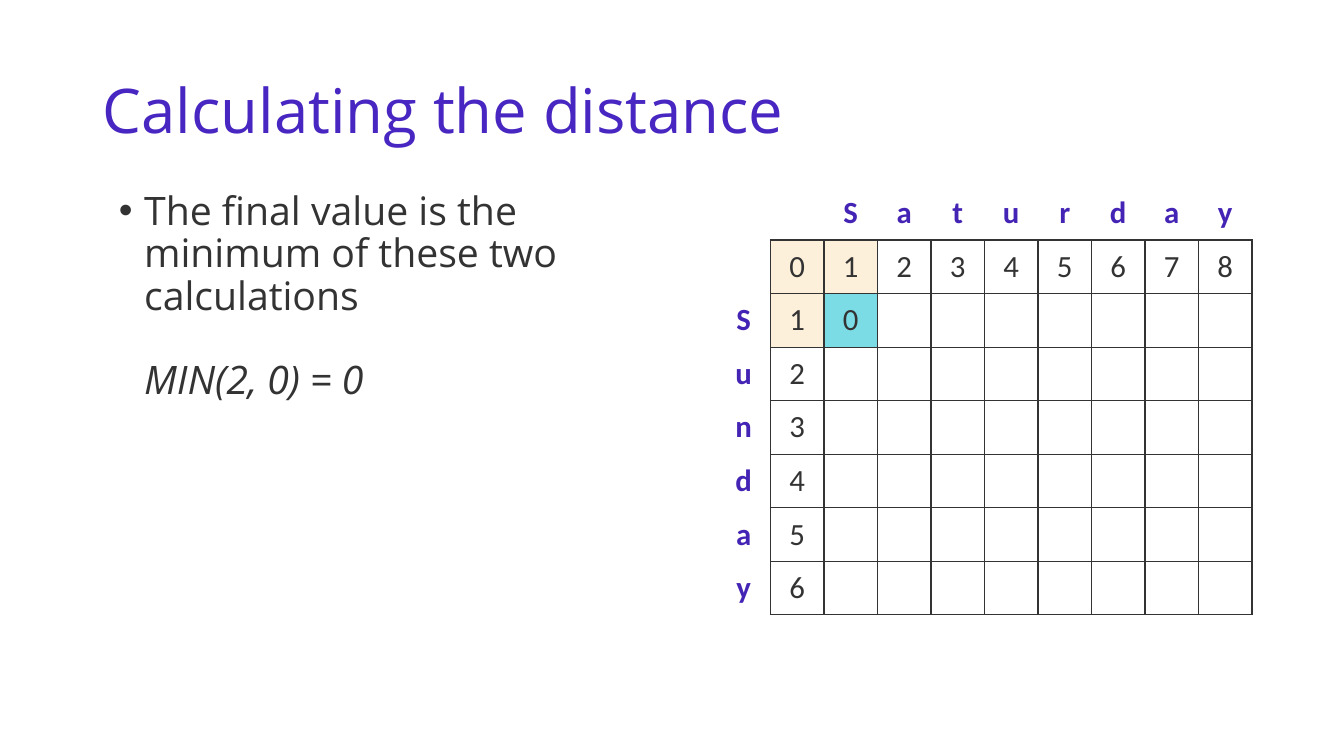
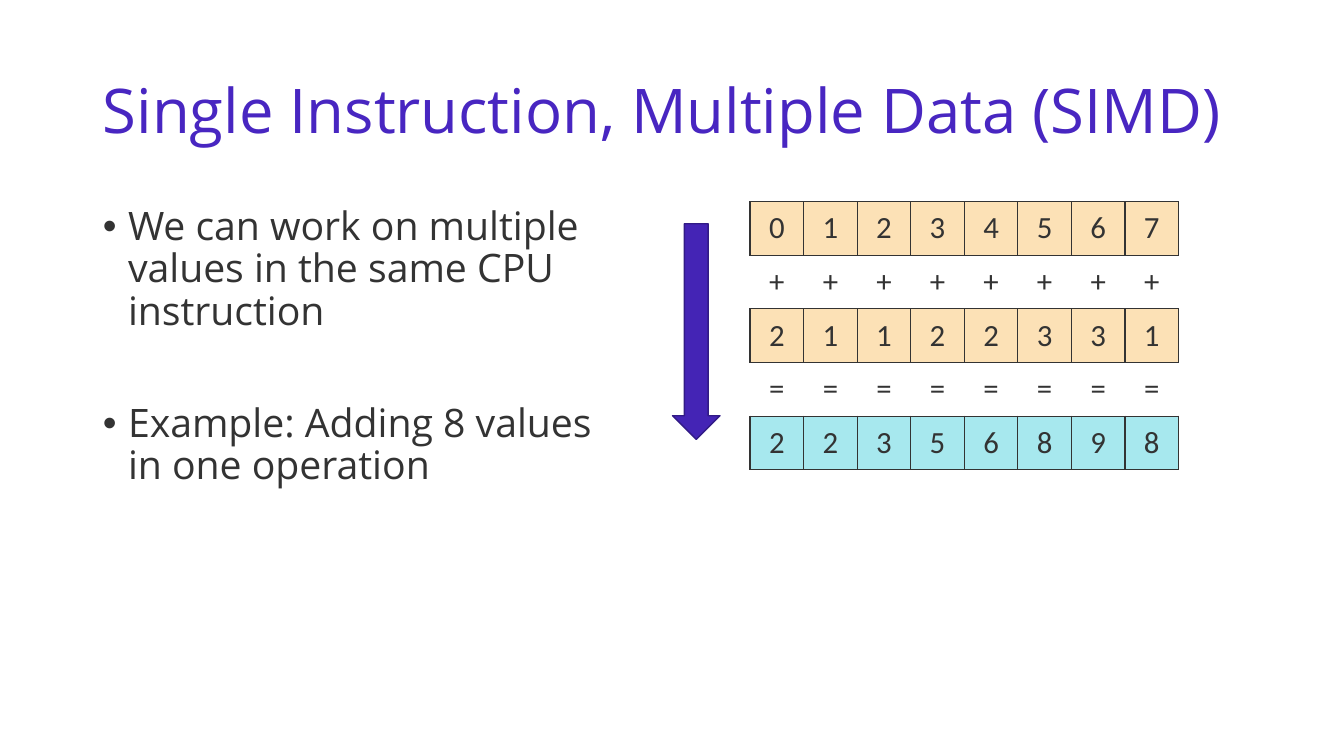
from pptx import Presentation
from pptx import util as u
from pptx.dml.color import RGBColor
from pptx.enum import shapes, text
from pptx.oxml import parse_xml
from pptx.oxml.ns import nsdecls, qn

WIDE, HIGH = u.Inches(13.33), u.Inches(7.5)
TITLE = RGBColor(0x48, 0x26, 0xC1)
GRAPE = RGBColor(0x44, 0x24, 0xB5)
EDGE = RGBColor(0x32, 0x1B, 0x86)
INK = RGBColor(0x33, 0x33, 0x33)
WHITE = RGBColor(0xFF, 0xFF, 0xFF)
CREAM = RGBColor(0xFD, 0xF0, 0xDA)
SAND = RGBColor(0xFC, 0xE1, 0xB6)
AQUA = RGBColor(0x7C, 0xDC, 0xE6)
PALE = RGBColor(0xA7, 0xE8, 0xEE)
HEAD = "Open Sans"
CELL = "Calibri"
PLAIN = "{2D5ABB26-0587-4C30-8999-92F81FD0307C}"
SIDES = {"L": (0, -1), "R": (0, 1), "T": (-1, 0), "B": (1, 0)}


def area(left, top, wide, high):
    return [round(part * full / 100) for part, full in
            zip((left, top, wide, high), (WIDE, HIGH, WIDE, HIGH))]


def move(shape, box):
    shape.left, shape.top, shape.width, shape.height = box


def write(par, words, size=28, color=INK, face=HEAD, bold=False,
          ital=False, align=text.PP_ALIGN.LEFT, lead=None, gap=0):
    par.alignment = align
    par.line_spacing = lead
    par.space_before = u.Pt(gap)
    run = par.add_run()
    run.text = words
    font = run.font
    font.size, font.name = u.Pt(size), face
    font.bold, font.italic = bold, ital
    font.color.rgb = color


def mark(par, sign):
    props = par._p.get_or_add_pPr()
    props.set("marL", str(u.Inches(0.25)))
    props.set("indent", str(u.Inches(-0.25) if sign else 0))
    if sign:
        props.append(parse_xml(f'<a:buFont {nsdecls("a")} typeface="Arial"/>'))
        props.append(parse_xml(f'<a:buChar {nsdecls("a")} char="{sign}"/>'))
    else:
        props.append(parse_xml(f'<a:buNone {nsdecls("a")}/>'))


def start(deck, head, box, items):
    slide = deck.slides.add_slide(deck.slide_layouts[1])
    title, body = slide.shapes.title, slide.placeholders[1]
    move(title, area(6.9, 5.33, 86.27, 19.33))
    move(body, box)
    for shape in (title, body):
        shape.text_frame.auto_size = text.MSO_AUTO_SIZE.NONE
        shape.text_frame.word_wrap = True
    title.text_frame.vertical_anchor = text.MSO_ANCHOR.MIDDLE
    write(title.text_frame.paragraphs[0], head, size=44, color=TITLE, lead=0.9)
    frame = body.text_frame
    frame.vertical_anchor = text.MSO_ANCHOR.TOP
    for num, (sign, words, style) in enumerate(items):
        par = frame.add_paragraph() if num else frame.paragraphs[0]
        mark(par, sign)
        write(par, words, lead=0.9, **style)
    return slide


def rule(cell, side, shown):
    paint = (f'<a:solidFill><a:srgbClr val="{INK}"/></a:solidFill>'
             if shown else "<a:noFill/>")
    cell._tc.get_or_add_tcPr().append(parse_xml(
        f'<a:ln{side} {nsdecls("a")} w="{u.Pt(1)}">{paint}</a:ln{side}>'))


def grid(slide, box, rows, fill, boxed, label):
    high, wide = len(rows), len(rows[0])
    frame = slide.shapes.add_table(high, wide, *box)
    table = frame.table
    table.first_row = table.horz_banding = False
    next(frame._element.iter(qn("a:tableStyleId"))).text = PLAIN
    for col in table.columns:
        col.width = box[2] // wide
    for row in table.rows:
        row.height = box[3] // high

    def lined(r, c):
        return 0 <= r < high and 0 <= c < wide and boxed(r, c)

    for r, row in enumerate(rows):
        for c, value in enumerate(row):
            cell = table.cell(r, c)
            for side, (down, over) in SIDES.items():
                rule(cell, side, lined(r, c) or lined(r + down, c + over))
            cell.fill.solid()
            cell.fill.fore_color.rgb = fill(r, c)
            cell.vertical_anchor = text.MSO_ANCHOR.MIDDLE
            cell.margin_left = cell.margin_right = u.Inches(0.12)
            cell.margin_top = cell.margin_bottom = u.Inches(0.06)
            if value != "":
                name = label(r, c)
                write(cell.text_frame.paragraphs[0], str(value), size=22,
                      color=GRAPE if name else INK, face=CELL, bold=name,
                      align=text.PP_ALIGN.CENTER)


def matrix(slide, box, across, down):
    rows = [["", "", *across], ["", *range(len(across) + 1)]]
    for num, char in enumerate(down, 1):
        rows.append([char, num] + [""] * len(across))
    rows[2][2] = 0
    tints = {(1, 1): CREAM, (1, 2): CREAM, (2, 1): CREAM, (2, 2): AQUA}
    grid(slide, box, rows,
         fill=lambda r, c: tints.get((r, c), WHITE),
         boxed=lambda r, c: r > 0 and c > 0,
         label=lambda r, c: r == 0 or c == 0)


def sums(slide, box, first, second):
    count = len(first)
    total = [a + b for a, b in zip(first, second)]
    rows = [first, "+" * count, second, "=" * count, total]
    tints = [SAND, WHITE, SAND, WHITE, PALE]
    grid(slide, box, rows,
         fill=lambda r, c: tints[r],
         boxed=lambda r, c: r % 2 == 0,
         label=lambda r, c: False)


def arrow(slide, box):
    shape = slide.shapes.add_shape(shapes.MSO_SHAPE.DOWN_ARROW, *box)
    shape.shadow.inherit = False
    shape.fill.solid()
    shape.fill.fore_color.rgb = GRAPE
    shape.line.color.rgb = EDGE
    shape.line.width = u.Pt(1)


def main():
    deck = Presentation()
    deck.slide_width, deck.slide_height = WIDE, HIGH

    slide = start(deck, "Calculating the distance",
                  area(8.1, 24.67, 41.56, 65.47), [
                      ("•", "The final value is the minimum of these two "
                            "calculations", {}),
                      ("", "MIN(2, 0) = 0", {"ital": True, "gap": 30})])
    matrix(slide, area(53.34, 24.67, 39.83, 56.67), "Saturday", "Sunday")

    slide = start(deck, "Single Instruction, Multiple Data (SIMD)",
                  area(6.9, 26.67, 39.83, 63.47), [
                      ("•", "We can work on multiple values in the same CPU "
                            "instruction", {}),
                      ("•", "Example: Adding 8 values in one operation",
                       {"gap": 50})])
    sums(slide, area(55.81, 26.67, 31.88, 35.47),
         list(range(8)), [2, 1, 1, 2, 2, 3, 3, 1])
    arrow(slide, area(50.04, 29.6, 3.53, 28.53))

    deck.save("out.pptx")


if __name__ == "__main__":
    main()
